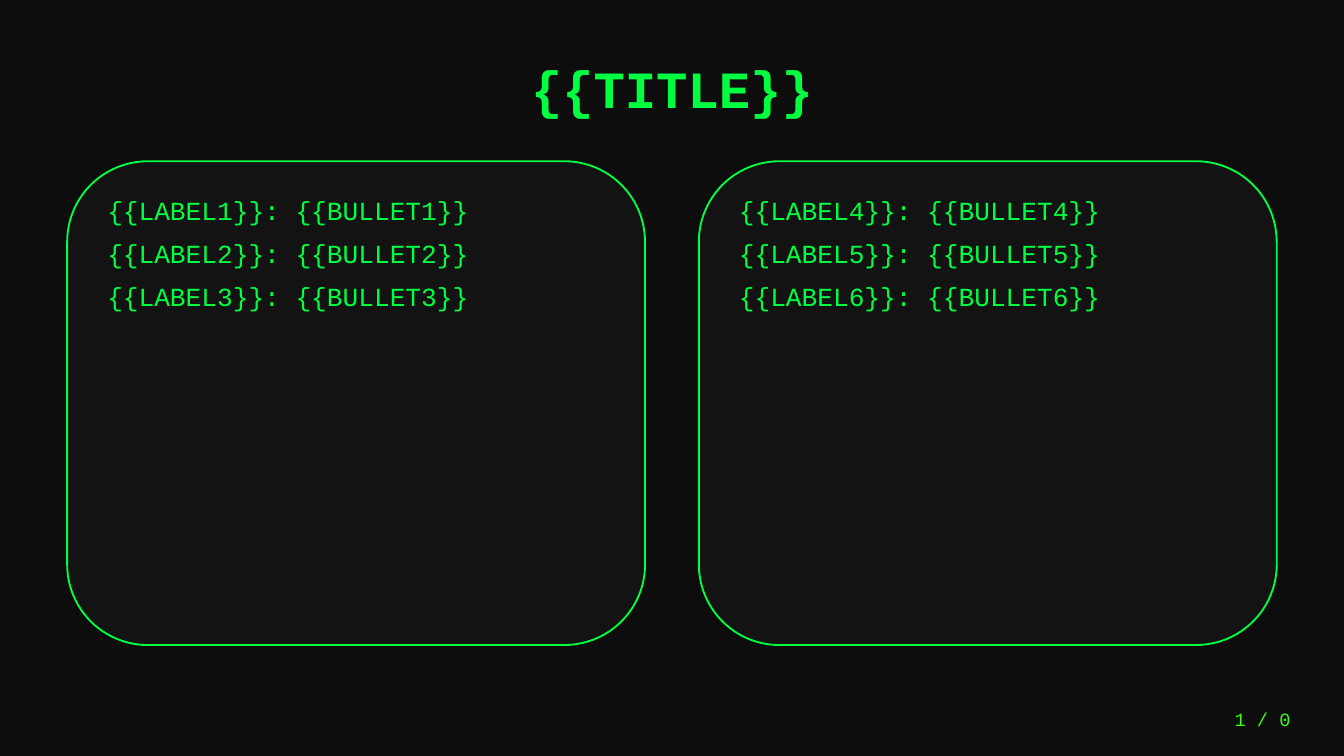
"""Build a dark terminal-style slide with a title and two bullet cards."""
from lxml.etree import SubElement
from pptx import Presentation
from pptx.dml.color import RGBColor
from pptx.enum.shapes import MSO_SHAPE as Shape
from pptx.enum.text import MSO_ANCHOR as Anchor, PP_ALIGN as Align
from pptx.oxml.ns import qn
from pptx.util import Inches, Pt

TITLE = "{{TITLE}}"
CARDS = [
    [("{{LABEL1}}", "{{BULLET1}}"), ("{{LABEL2}}", "{{BULLET2}}"), ("{{LABEL3}}", "{{BULLET3}}")],
    [("{{LABEL4}}", "{{BULLET4}}"), ("{{LABEL5}}", "{{BULLET5}}"), ("{{LABEL6}}", "{{BULLET6}}")],
]
PAGE = "1 / 0"

THEME = {
    "font": "Courier New",
    "bg": RGBColor.from_string("0D0D0D"),
    "card": RGBColor.from_string("141414"),
    "card_alpha": "90000",
    "green": RGBColor.from_string("00FF41"),
    "page": RGBColor.from_string("39FF14"),
    "title_size": 28,
    "body_size": 14,
    "page_size": 10,
}
SLIDE_W = 10
SLIDE_H = SLIDE_W * 9 / 16
MARGIN, CARD_TOP, CARD_W, CARD_H, GAP, PAD = 0.5, 1.2, 4.3, 3.6, 0.4, 0.2


def write(sp, lines, size, color, align=Align.LEFT, anchor=Anchor.TOP, bold=False, after=0):
    tf = sp.text_frame
    tf.word_wrap = True
    tf.vertical_anchor = anchor
    tf.text = "\n".join(lines)
    for p in tf.paragraphs:
        p.alignment = align
        p.space_after = Pt(after)
        for r in p.runs:
            r.font.name = THEME["font"]
            r.font.size = Pt(size)
            r.font.bold = bold
            r.font.color.rgb = color


def add_card(s, left, items):
    sp = s.shapes.add_shape(Shape.ROUNDED_RECTANGLE, Inches(left), Inches(CARD_TOP),
                            Inches(CARD_W), Inches(CARD_H))
    sp.shadow.inherit = False
    sp.fill.solid()
    sp.fill.fore_color.rgb = THEME["card"]
    color = sp.element.spPr.find(qn("a:solidFill"))[0]
    SubElement(color, qn("a:alpha"), val=THEME["card_alpha"])
    sp.line.color.rgb = THEME["green"]
    sp.line.width = Pt(1)
    box = s.shapes.add_textbox(Inches(left + PAD), Inches(CARD_TOP + PAD),
                               Inches(CARD_W - 2 * PAD), Inches(CARD_H - 2 * PAD))
    lines = [f"{label}: {bullet}" for label, bullet in items]
    write(box, lines, THEME["body_size"], THEME["green"], after=6)


def main():
    prs = Presentation()
    prs.slide_width, prs.slide_height = Inches(SLIDE_W), Inches(SLIDE_H)
    s = prs.slides.add_slide(prs.slide_layouts[5])
    s.background.fill.solid()
    s.background.fill.fore_color.rgb = THEME["bg"]

    title = s.shapes.title
    title.left, title.top = Inches(MARGIN), Inches(0.3)
    title.width, title.height = Inches(SLIDE_W - 2 * MARGIN), Inches(0.7)
    write(title, [TITLE], THEME["title_size"], THEME["green"], Align.CENTER, Anchor.MIDDLE, bold=True)

    for i, items in enumerate(CARDS):
        add_card(s, MARGIN + i * (CARD_W + GAP), items)

    page = s.shapes.add_textbox(Inches(8.5), Inches(5.2), Inches(1.2), Inches(0.3))
    write(page, [PAGE], THEME["page_size"], THEME["page"], Align.RIGHT, Anchor.MIDDLE)
    prs.save("out.pptx")


if __name__ == "__main__":
    main()
